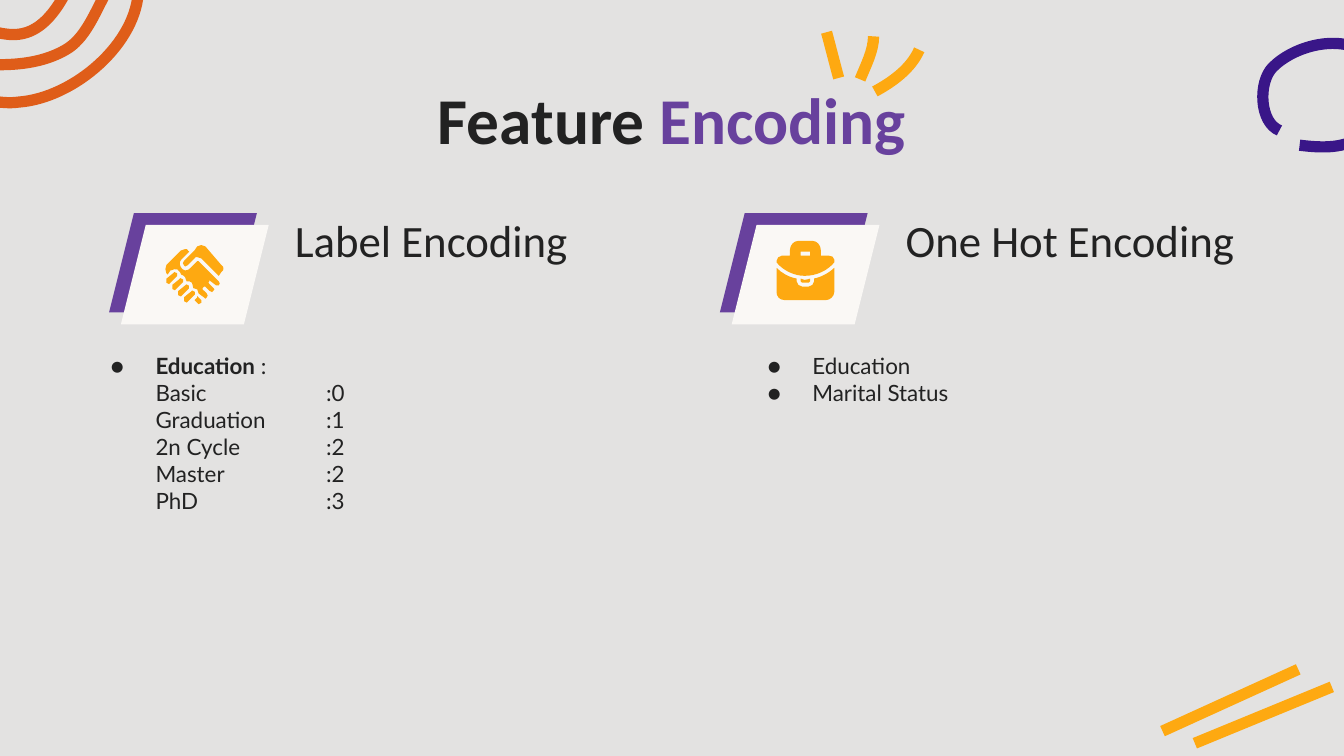
import lxml.etree
import pptx
import pptx.dml.color
import pptx.enum.shapes
import pptx.enum.text
import pptx.oxml.ns
import pptx.util

Pt = pptx.util.Pt
qn = pptx.oxml.ns.qn
GRID = 0.72
INK, PURPLE, AMBER = "222222", "68419D", "FEA911"

FINGER = "M 6 0 C 6 0 5 1 5 1 L 0 5 C 0 6 0 7 0 8 C 1 8 1 9 2 9 C 2 9 3 8 3 8 L 8 3 C 8 3 8 2 8 1 C 7 1 7 0 6 0 Z"
THUMB = "M 24 38 L 24 39 L 22 41 L 24 43 C 24 44 25 44 25 44 C 26 44 26 44 27 43 C 27 43 27 41 27 41 L 24 38 Z"
PALM = (
    "M 15 3 C 14 3 13 3 12 4 L 1 15 C 0 17 0 19 1 21 L 2 22 L 4 19 C 5 19 6 18 7 18 "
    "C 9 18 10 18 10 19 C 11 20 12 21 12 22 C 13 22 14 23 15 24 C 16 25 16 26 16 27 "
    "C 18 27 19 27 20 28 C 20 29 21 30 21 32 C 22 32 23 32 24 33 C 25 34 25 35 25 36 "
    "L 29 39 C 29 40 29 40 30 40 C 30 40 31 40 31 39 C 32 38 32 37 31 36 L 28 33 "
    "C 28 33 28 32 28 32 C 28 31 29 31 29 31 C 29 31 30 31 30 31 L 33 34 "
    "C 34 35 34 35 35 35 C 35 35 35 35 36 34 C 37 34 37 32 36 32 L 33 29 "
    "C 32 28 32 27 33 27 C 33 27 33 26 33 26 C 34 26 34 27 34 27 L 38 30 "
    "C 38 30 38 30 39 30 C 39 30 40 30 40 30 C 41 29 41 28 40 27 L 38 25 L 25 12 "
    "C 25 12 24 12 24 12 L 19 17 C 18 18 17 19 15 19 C 14 19 14 19 13 18 "
    "C 11 16 10 13 12 11 L 18 5 L 17 4 C 17 3 16 3 15 3 Z"
)
BACK_HAND = (
    "M 27 0 C 26 0 25 1 24 1 L 22 4 L 14 12 C 13 13 13 14 14 15 C 14 15 15 16 15 16 "
    "C 16 16 16 15 17 15 L 22 10 C 22 9 23 9 24 9 C 25 9 26 9 27 10 L 40 23 L 42 20 "
    "C 44 19 44 16 42 15 L 30 1 C 29 1 28 0 27 0 Z"
)
HANDSHAKE = [(FINGER, 1 + 4.4 * i, 20 + 4.6 * i) for i in range(4)]
HANDSHAKE += [(d, 0, 0) for d in (THUMB, PALM, BACK_HAND)]
BRIEFCASE = [(d, 0, 0) for d in (
    "M 25 8 L 25 11 L 18 11 L 18 8 Z M 16 0 C 13 0 10 3 10 7 L 10 11 L 4 11 "
    "C 2 11 0 13 0 15 L 0 16 C 5 22 13 26 21 26 C 30 26 38 22 43 16 L 43 14 "
    "C 43 12 41 11 39 11 L 33 11 L 33 7 C 33 3 30 0 27 0 Z",
    "M 43 20 C 39 24 33 27 28 28 L 28 30 C 28 32 26 34 24 34 L 19 34 C 17 34 15 32 15 30 "
    "L 15 28 C 9 27 4 24 0 20 L 0 38 C 0 41 2 44 6 44 L 37 44 C 40 44 43 41 43 38 L 43 20 Z",
    "M 18 28 L 18 30 C 18 31 18 31 19 31 L 24 31 C 25 31 25 31 25 30 L 25 28 "
    "C 24 28 23 29 21 29 C 20 29 19 28 18 28 Z",
)]
ARCS = [
    "M -22 21 C -9 21 4 28 17 25 C 31 22 41 9 48 -4",
    "M -33 46 C -6 49 25 51 49 37 C 63 29 70 11 78 -4",
    "M -29 71 C -14 73 0 78 14 76 C 55 73 103 32 103 -9",
]
LOOP = "M 11 69 C -4 63 -5 33 6 22 C 22 6 54 -2 73 10 C 90 21 89 59 73 72 C 61 83 42 82 26 80"
SPARKS = [
    "M 25 35 C 29 25 35 14 35 3",
    "M 36 44 C 49 37 63 27 69 13",
    "M 9 34 C 6 23 3 11 0 0",
]


def rgb(value):
    """Turn a hex string into a colour."""
    return pptx.dml.color.RGBColor.from_string(value)


def curve(sp, commands):
    """Join each three line points of a C command into one cubic curve."""
    points = iter(list(sp._element.iter(qn("a:lnTo"))))
    for cmd in commands:
        first = next(points)
        if cmd == "C":
            first.tag = qn("a:cubicBezTo")
            for _ in range(2):
                extra = next(points)
                first.append(extra[0])
                extra.getparent().remove(extra)


def outline(s, d, x, y, fill=None, line=None):
    """Draw one outline with its grid origin at x, y."""
    fb, commands, tokens = None, [], iter(d.split())
    for cmd in tokens:
        if cmd == "Z":
            fb.add_line_segments([], close=True)
            continue
        pts = [(Pt(x + float(next(tokens)) * GRID), Pt(y + float(next(tokens)) * GRID))
               for _ in range(3 if cmd == "C" else 1)]
        if fb is None:
            fb = s.shapes.build_freeform(*pts[0], scale=1.0)
        elif cmd == "M":
            fb.move_to(*pts[0])
        else:
            fb.add_line_segments(pts, close=False)
            commands.append(cmd)
    sp = fb.convert_to_shape()
    curve(sp, commands)
    sp.shadow.inherit = False
    if fill:
        sp.fill.solid()
        sp.fill.fore_color.rgb = rgb(fill)
        sp.line.fill.background()
    else:
        sp.fill.background()
        sp.line.color.rgb = rgb(line)
        sp.line.width = Pt(6)
    return sp


def strokes(s, box, outlines, color):
    """Draw a group of hand-drawn strokes at the corner of its box."""
    s.shapes.add_group_shape([outline(s, d, *box, line=color) for d in outlines])


def stripes(s, box):
    """Draw the two slanted lines relative to their box."""
    x, y = box
    lines = []
    for x1, y1, x2, y2 in ((0, 33.1, 72.7, 0), (17.3, 39.6, 90.7, 9.4)):
        line = s.shapes.add_connector(
            pptx.enum.shapes.MSO_CONNECTOR.STRAIGHT, Pt(x + x1), Pt(y + y1), Pt(x + x2), Pt(y + y2))
        line.line.color.rgb = rgb(AMBER)
        line.line.width = Pt(6)
        lxml.etree.SubElement(line._element.spPr, qn("a:effectLst"))
        lines.append(line)
    s.shapes.add_group_shape(lines)


def add_text(p, text, size=12, font="Lato", color=INK, bold=False):
    """Append a formatted run to a paragraph."""
    r = p.add_run()
    r.text = text
    r.font.size, r.font.name, r.font.bold = Pt(size), font, bold
    r.font.color.rgb = rgb(color)


def place(sp, box, anchor="TOP"):
    """Move a placeholder to its box and return its text frame."""
    sp.left, sp.top, sp.width, sp.height = map(Pt, box)
    tf = sp.text_frame
    tf.word_wrap = True
    tf.auto_size = pptx.enum.text.MSO_AUTO_SIZE.NONE
    tf.vertical_anchor = pptx.enum.text.MSO_ANCHOR[anchor]
    tf.margin_left = tf.margin_right = tf.margin_top = tf.margin_bottom = Pt(7.2)
    return tf


def format_paragraph(p, indent=0, bullet=False):
    """Set the indent, bullet and tab distance of a paragraph."""
    pPr = p._p.get_or_add_pPr()
    pPr.set("marL", str(Pt(indent)))
    pPr.set("indent", str(Pt(-24 if bullet else 0)))
    pPr.set("defTabSz", str(Pt(91.5)))
    if bullet:
        clr = lxml.etree.SubElement(pPr, qn("a:buClr"))
        lxml.etree.SubElement(clr, qn("a:srgbClr"), val=INK)
        lxml.etree.SubElement(pPr, qn("a:buFont"), typeface="Lato")
        lxml.etree.SubElement(pPr, qn("a:buChar"), char="●")
    else:
        lxml.etree.SubElement(pPr, qn("a:buNone"))
    p.space_before = Pt(0)


def title(s, box):
    """Write the two-coloured slide title."""
    p = place(s.shapes.title, box).paragraphs[0]
    p.alignment = pptx.enum.text.PP_ALIGN.CENTER
    add_text(p, "Feature ", size=35, font="Calibri", bold=True)
    add_text(p, "Encoding", size=35, font="Calibri", color=PURPLE, bold=True)


def badge(s, box, icon, icon_at):
    """Draw a slanted card with an offset shadow and an icon."""
    x, y, w, h = box
    sp = s.shapes.add_shape(pptx.enum.shapes.MSO_SHAPE.PARALLELOGRAM, *map(Pt, box))
    sp.adjustments[0] = 0.25
    sp.fill.solid()
    sp.fill.fore_color.rgb = rgb("FAF8F5")
    sp.line.fill.background()
    sp.shadow.inherit = False
    shadow = lxml.etree.SubElement(
        sp._element.spPr.find(qn("a:effectLst")), qn("a:outerShdw"),
        blurRad="0", dist=str(Pt(9)), dir="13500000", algn="bl", rotWithShape="0")
    lxml.etree.SubElement(shadow, qn("a:srgbClr"), val=PURPLE)
    ix, iy = x + icon_at[0], y + icon_at[1]
    s.shapes.add_group_shape(
        [outline(s, d, ix + dx * GRID, iy + dy * GRID, fill=AMBER) for d, dx, dy in icon])


def encoding(s, box, idx, heading, items, icon, icon_at, list_shift=0, list_height=42.5):
    """Fill one column with its badge, heading and list of (text, bullet, bold, tail)."""
    x, y, w = box
    tf = place(s.placeholders[idx], (x + 86, y, w - 86, 29.5), "BOTTOM")
    format_paragraph(tf.paragraphs[0])
    add_text(tf.paragraphs[0], heading, size=24, font="Calibri")
    tf = place(s.placeholders[idx + 1], (x + list_shift, y + 61, 177.8, list_height))
    for i, (text, bullet, bold, tail) in enumerate(items):
        p = tf.add_paragraph() if i else tf.paragraphs[0]
        format_paragraph(p, 36, bullet)
        add_text(p, text, bold=bold)
        if tail:
            add_text(p, tail)
    badge(s, (x, y, 79.2, 53.3), icon, icon_at)


def main():
    """Build and save the slide."""
    prs = pptx.Presentation()
    prs.slide_width, prs.slide_height = Pt(720), Pt(405)
    s = prs.slides.add_slide(prs.slide_layouts.get_by_name("Comparison"))
    s.background.fill.solid()
    s.background.fill.fore_color.rgb = rgb("E3E2E1")
    strokes(s, (0, 0), ARCS, "DF5D19")
    stripes(s, (622.8, 358.6))
    outline(s, LOOP, 677.5, 20.2, line="391688")
    title(s, (56.4, 35.3, 607, 45.4))
    levels = [("Basic", 0), ("Graduation", 1), ("2n Cycle", 2), ("Master", 2), ("PhD", 3)]
    codes = [("Education", True, True, " :")]
    codes += [(f"{level}\t:{code}", False, False, "") for level, code in levels]
    encoding(s, (64.8, 120.5, 293), 1, "Label Encoding", codes, HANDSHAKE, (23.6, 10.8), -24.7, 116.6)
    columns = [(text, True, False, "") for text in ("Education", "Marital Status")]
    encoding(s, (392, 120.5, 321.5), 3, "One Hot Encoding", columns, BRIEFCASE, (24, 8.6))
    strokes(s, (442.8, 17.3), SPARKS, AMBER)
    prs.save("out.pptx")


if __name__ == "__main__":
    main()
